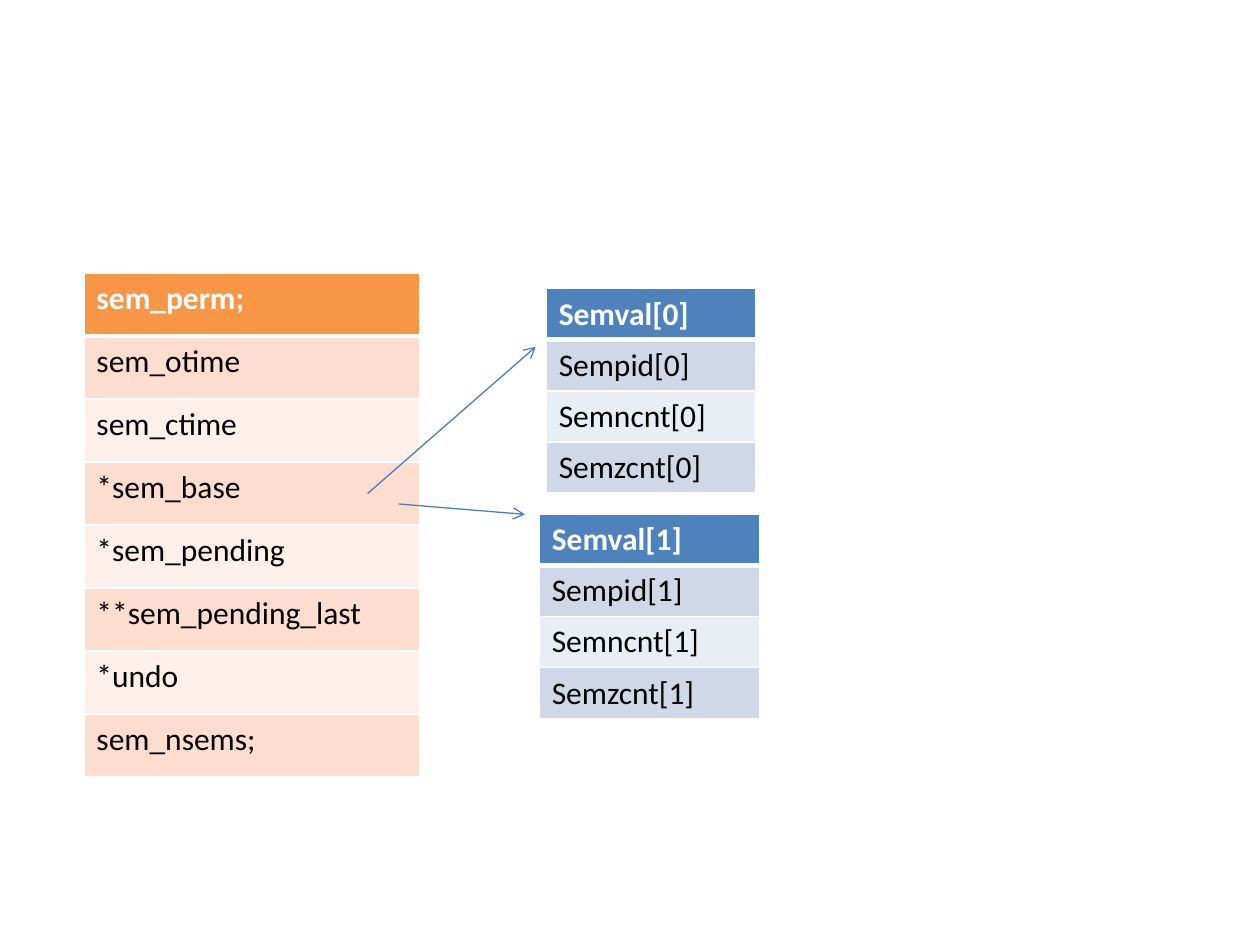
"""Build a slide showing a semaphore set structure and its semaphore arrays."""
from dataclasses import dataclass

from lxml.etree import SubElement
from pptx import Presentation
from pptx.dml.color import RGBColor
from pptx.enum.shapes import MSO_CONNECTOR as Connector
from pptx.enum.text import MSO_ANCHOR as Anchor
from pptx.oxml.ns import qn
from pptx.util import Cm, Pt


@dataclass(frozen=True)
class Palette:
    header: str
    odd: str
    even: str


@dataclass(frozen=True)
class Theme:
    font: str = "Calibri"
    size: float = 18
    ink: str = "000000"
    paper: str = "FFFFFF"
    arrow: str = "4B7EBC"
    arrow_width: float = 0.75
    rule: float = 1
    header_rule: float = 3
    orange: Palette = Palette("F79646", "FCDDCF", "FDEFE9")
    blue: Palette = Palette("4F81BD", "D0D8E8", "E9EDF4")


@dataclass(frozen=True)
class Listing:
    left: float
    top: float
    width: float
    row_height: float
    palette: Palette
    rows: list[str]


@dataclass(frozen=True)
class Arrow:
    start: tuple[float, float]
    end: tuple[float, float]


THEME = Theme()


def write(frame, text: str, *, color: str, bold: bool = False) -> None:
    para = frame.paragraphs[0]
    span = para.add_run()
    span.text = text
    span.font.name = THEME.font
    span.font.size = Pt(THEME.size)
    span.font.bold = bold
    span.font.color.rgb = RGBColor.from_string(color)


def set_border(cell, side: str, width: float) -> None:
    properties = cell._tc.get_or_add_tcPr()
    line = SubElement(properties, qn(f"a:ln{side}"), w=str(Pt(width)))
    fill = SubElement(line, qn("a:solidFill"))
    SubElement(fill, qn("a:srgbClr"), val=THEME.paper)


def draw_listing(page, listing: Listing) -> None:
    count = len(listing.rows)
    table = page.shapes.add_table(
        count, 1, Cm(listing.left), Cm(listing.top),
        Cm(listing.width), Cm(listing.row_height * count),
    ).table
    palette = listing.palette
    for index, text in enumerate(listing.rows):
        table.rows[index].height = Cm(listing.row_height)
        cell = table.cell(index, 0)
        is_header = index == 0
        rules = {
            "L": THEME.rule,
            "R": THEME.rule,
            "T": THEME.header_rule if index == 1 else THEME.rule,
            "B": THEME.header_rule if is_header else THEME.rule,
        }
        for side, width in rules.items():
            set_border(cell, side, width)
        shade = palette.header if is_header else palette.odd if index % 2 else palette.even
        cell.fill.solid()
        cell.fill.fore_color.rgb = RGBColor.from_string(shade)
        cell.vertical_anchor = Anchor.TOP
        write(cell.text_frame, text, color=THEME.paper if is_header else THEME.ink, bold=is_header)


def draw_arrow(page, arrow: Arrow) -> None:
    points = [Cm(value) for value in (*arrow.start, *arrow.end)]
    connector = page.shapes.add_connector(Connector.STRAIGHT, *points)
    connector.line.color.rgb = RGBColor.from_string(THEME.arrow)
    connector.line.width = Pt(THEME.arrow_width)
    SubElement(connector.line._get_or_add_ln(), qn("a:tailEnd"), type="arrow")
    SubElement(connector._element.spPr, qn("a:effectLst"))


def semaphore_rows(number: int) -> list[str]:
    return [f"{field}[{number}]" for field in ("Semval", "Sempid", "Semncnt", "Semzcnt")]


def main() -> None:
    deck = Presentation()
    deck.slide_width, deck.slide_height = Cm(25.4), Cm(19.05)
    page = deck.slides.add_slide(deck.slide_layouts[6])
    set_fields = [
        "sem_perm;", "sem_otime ", "sem_ctime", "*sem_base",
        "*sem_pending", "**sem_pending_last", "*undo", "sem_nsems;",
    ]
    listings = [
        Listing(1.69, 5.5, 6.77, 1.27, THEME.orange, set_fields),
        Listing(11.01, 5.82, 4.23, 1.03, THEME.blue, semaphore_rows(0)),
        Listing(10.87, 10.37, 4.45, 1.03, THEME.blue, semaphore_rows(1)),
    ]
    arrows = [
        Arrow((7.41, 9.95), (10.8, 6.99)),
        Arrow((8.04, 10.16), (10.58, 10.37)),
    ]
    for listing in listings:
        draw_listing(page, listing)
    for arrow in arrows:
        draw_arrow(page, arrow)
    deck.save("out.pptx")


main()
